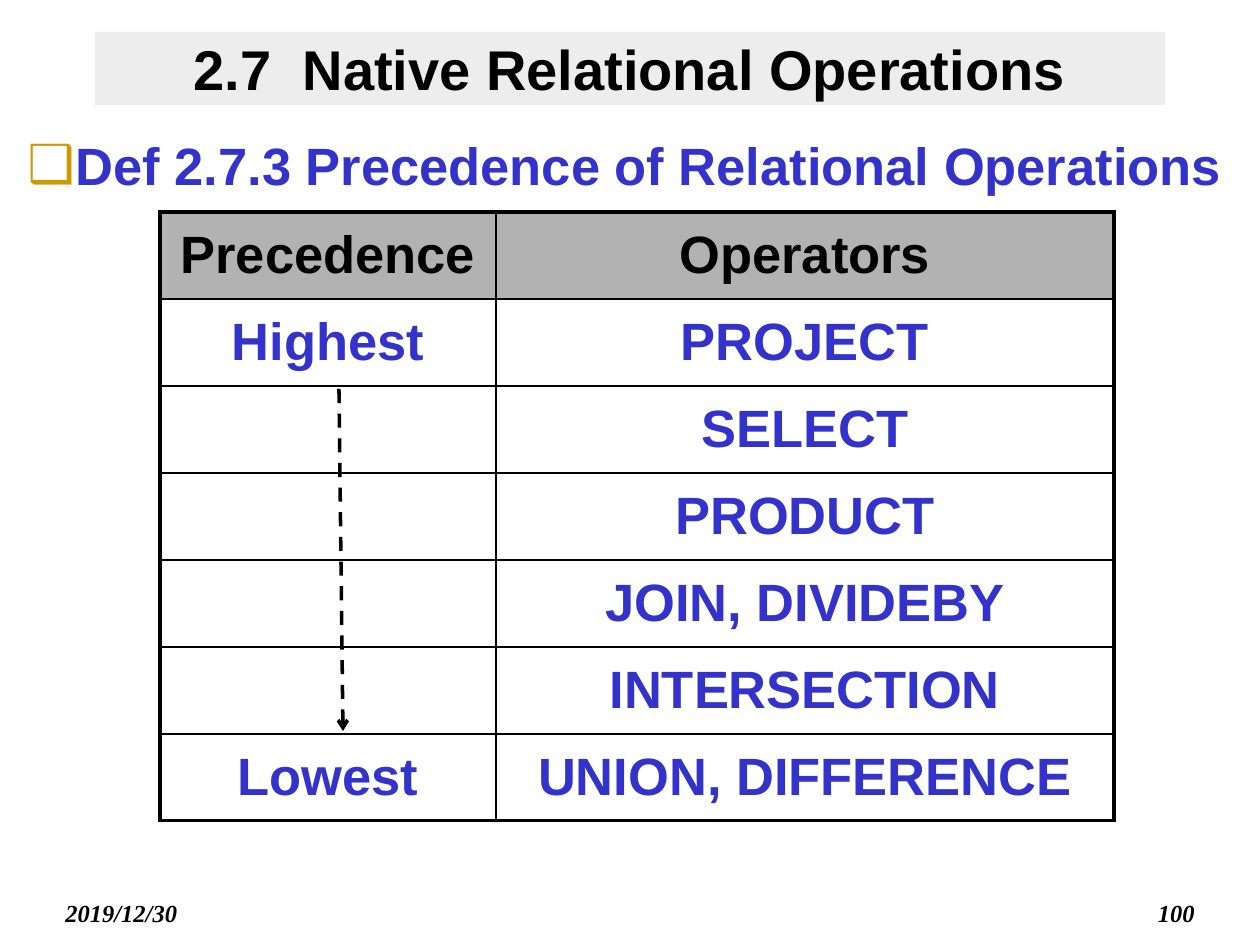
from lxml.etree import SubElement
from pptx import Presentation
from pptx.dml.color import RGBColor
from pptx.enum.dml import MSO_LINE
from pptx.enum.shapes import MSO_CONNECTOR
from pptx.enum.text import MSO_ANCHOR, MSO_AUTO_SIZE, PP_ALIGN as ALIGN
from pptx.oxml.ns import qn
from pptx.util import Emu, Pt

EMU_PER_PX = 914400 / 126
BLACK, BLUE, GOLD = "000000", "3333CC", "CC9900"
TITLE_GREY, HEADER_GREY = "DDDDDD", "B2B2B2"

ROWS = [
    ("Precedence", "Operators"),
    ("Highest", "PROJECT"),
    ("", "SELECT"),
    ("", "PRODUCT"),
    ("", "JOIN, DIVIDEBY"),
    ("", "INTERSECTION"),
    ("Lowest", "UNION, DIFFERENCE"),
]
COLUMN_WIDTHS = (336, 618)
ROW_HEIGHT = 87


def px(value):
    return Emu(round(value * EMU_PER_PX))


def color(hex_code):
    return RGBColor.from_string(hex_code)


def place(shape, left, top, width, height):
    shape.left, shape.top = px(left), px(top)
    shape.width, shape.height = px(width), px(height)


def write(frame, text, size, hex_code, align, name="Arial", italic=False):
    frame.word_wrap = True
    paragraph = frame.paragraphs[0]
    paragraph.text = text
    paragraph.alignment = align
    paragraph.space_before = Pt(0)
    font = paragraph.font
    font.name, font.size = name, Pt(size)
    font.bold, font.italic = True, italic
    font.color.rgb = color(hex_code)


def add_title(slide, text):
    title = slide.shapes.title
    place(title, 95, 32, 1070, 73)
    title.fill.solid()
    title.fill.fore_color.rgb = color(TITLE_GREY)
    fill_color = title.fill._xPr.find(".//" + qn("a:srgbClr"))
    SubElement(fill_color, qn("a:alpha"), val="50000")
    title.text_frame.auto_size = MSO_AUTO_SIZE.NONE
    title.text_frame.vertical_anchor = MSO_ANCHOR.MIDDLE
    write(title.text_frame, text, 32, BLACK, ALIGN.CENTER)


def add_bullet_line(slide, text):
    body = slide.placeholders[1]
    place(body, 15, 127, 1231, 703)
    frame = body.text_frame
    frame.auto_size = MSO_AUTO_SIZE.NONE
    properties = frame.paragraphs[0]._p.get_or_add_pPr()
    properties.set("marL", str(px(48)))
    properties.set("indent", str(px(-48)))
    bullet_color = SubElement(properties, qn("a:buClr"))
    SubElement(bullet_color, qn("a:srgbClr"), val=GOLD)
    SubElement(properties, qn("a:buFont"), typeface="Arial")
    SubElement(properties, qn("a:buChar"), char="❑")
    write(frame, text, 30, BLUE, ALIGN.LEFT)


def set_borders(cell, widths):
    properties = cell._tc.get_or_add_tcPr()
    for side, width in zip("LRTB", widths):
        line = SubElement(properties, qn(f"a:ln{side}"), w=str(Pt(width)))
        fill = SubElement(line, qn("a:solidFill"))
        SubElement(fill, qn("a:srgbClr"), val=BLACK)


def add_precedence_table(slide):
    last_row, last_column = len(ROWS) - 1, len(COLUMN_WIDTHS) - 1
    table = slide.shapes.add_table(
        len(ROWS), len(COLUMN_WIDTHS), px(160), px(212),
        px(sum(COLUMN_WIDTHS)), px(ROW_HEIGHT * len(ROWS))).table
    table.first_row = table.horz_banding = False
    for column, width in zip(table.columns, COLUMN_WIDTHS):
        column.width = px(width)
    for r, texts in enumerate(ROWS):
        table.rows[r].height = px(ROW_HEIGHT)
        for c, text in enumerate(texts):
            cell = table.cell(r, c)
            # Thick outer frame, thin inner rules
            outer = (c == 0, c == last_column, r == 0, r == last_row)
            set_borders(cell, [2.25 if edge else 1 for edge in outer])
            cell.margin_top = cell.margin_bottom = 0
            cell.vertical_anchor = MSO_ANCHOR.MIDDLE
            if r == 0:
                cell.fill.solid()
                cell.fill.fore_color.rgb = color(HEADER_GREY)
            else:
                cell.fill.background()
            if text:
                write(cell.text_frame, text, 30, BLUE if r else BLACK, ALIGN.CENTER)


def add_dashed_arrow(slide, start, end):
    arrow = slide.shapes.add_connector(
        MSO_CONNECTOR.STRAIGHT, *map(px, start + end))
    arrow.line.color.rgb = color(BLACK)
    arrow.line.width = Pt(2)
    arrow.line.dash_style = MSO_LINE.DASH
    SubElement(arrow.line._get_or_add_ln(), qn("a:tailEnd"), type="arrow")
    SubElement(arrow._element.spPr, qn("a:effectLst"))


def add_footer(slide, left, text, align):
    box = slide.shapes.add_textbox(px(left), px(892), px(262), px(42))
    write(box.text_frame, text, 14, BLACK, align, "Times New Roman", True)


def main():
    presentation = Presentation()
    presentation.slide_width, presentation.slide_height = px(1260), px(945)
    slide = presentation.slides.add_slide(presentation.slide_layouts[1])

    # Heading and definition
    add_title(slide, "2.7  Native Relational Operations")
    add_bullet_line(slide, "Def 2.7.3 Precedence of Relational Operations")

    # Operators from highest to lowest precedence
    add_precedence_table(slide)
    add_dashed_arrow(slide, (339, 389), (343, 731))

    # Date and page number
    add_footer(slide, 53, "2019/12/30", ALIGN.LEFT)
    add_footer(slide, 945, "100", ALIGN.RIGHT)

    presentation.save("out.pptx")


if __name__ == "__main__":
    main()
